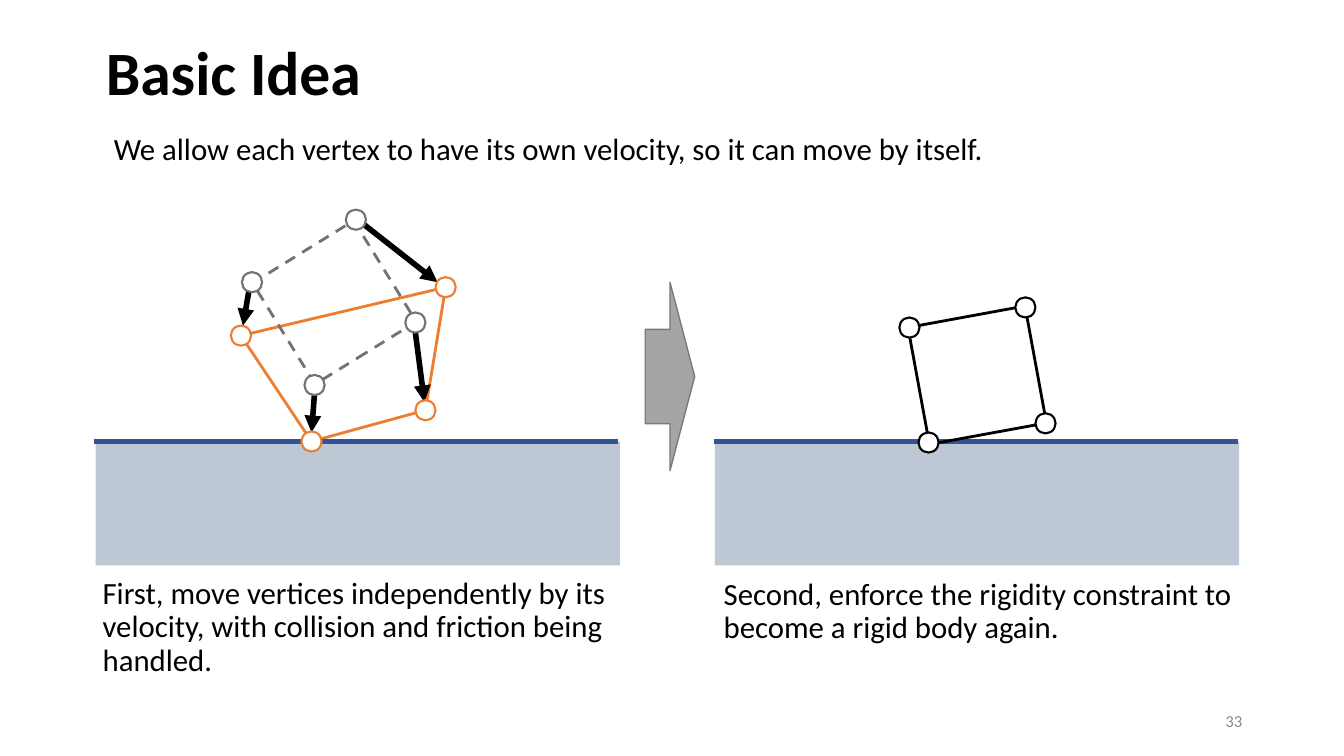
from pptx import Presentation
from pptx.dml.color import RGBColor
from pptx.enum.dml import MSO_LINE
from pptx.enum.shapes import MSO_CONNECTOR, MSO_SHAPE
from pptx.enum.text import MSO_ANCHOR, MSO_AUTO_SIZE, PP_ALIGN
from pptx.oxml.ns import qn
from pptx.util import Inches, Pt
from lxml.etree import SubElement

BLACK, WHITE, ORANGE, GREY = "000000", "FFFFFF", "ED7D31", "767171"
SOIL, EDGE = "8497B0", "2F5597"

TITLE = ("Basic Idea", (0.95, 0.02, 11.5, 1.45))
NOTES = [
    ("We allow each vertex to have its own velocity, so it can move by itself.",
     (1.03, 1.08, 10.22, 0.83)),
    ("First, move vertices independently by its velocity, "
     "with collision and friction being handled.", (0.92, 5.43, 5.53, 1.6)),
    ("Second, enforce the rigidity constraint to become a rigid body again.",
     (7.08, 5.66, 5.53, 0.83)),
]
NUMBER = ("33", (9.42, 6.95, 3, 0.4))

# Vertex centres, in order around each body
START = [(2.5, 2.8), (3.53, 2.18), (4.12, 3.2), (3.12, 3.82)]
MOVED = [(2.39, 3.33), (4.42, 2.85), (4.22, 4.07), (3.09, 4.38)]
RIGID = [(9.02, 3.25), (10.17, 3.05), (10.37, 4.2), (9.21, 4.39)]
STEPS = [((2.5, 2.7), (2.41, 3.23)), ((3.46, 2.11), (4.34, 2.8)),
         ((4.12, 3.3), (4.21, 3.99)), ((3.12, 3.9), (3.09, 4.29))]

SIDE, DOT = 1.18, 0.2
GROUND_TOP, GROUND_W, GROUND_H = 4.38, 5.2, 1.23
GROUNDS = [(0.95, 0.93), (7.09, 7.08)]  # left of soil, left of surface line

prs = Presentation()
prs.slide_width, prs.slide_height = Inches(13.33), Inches(7.5)
slide = prs.slides.add_slide(prs.slide_layouts[5])
shapes = slide.shapes


def rgb(code):
    return RGBColor.from_string(code)


def style(shape, fill=None, line=None, width=1.5, dash=None):
    shape.shadow.inherit = False
    if fill:
        shape.fill.solid()
        shape.fill.fore_color.rgb = rgb(fill)
    else:
        shape.fill.background()
    if line:
        shape.line.color.rgb = rgb(line)
        shape.line.width = Pt(width)
        shape.line.dash_style = dash
    else:
        shape.line.fill.background()
    return shape


def draw(kind, box, turn=0, **look):
    shape = shapes.add_shape(kind, *map(Inches, box))
    shape.rotation = turn
    return style(shape, **look)


def link(tail, tip, color, arrow=False):
    line = shapes.add_connector(MSO_CONNECTOR.STRAIGHT, *map(Inches, tail + tip))
    line.line.color.rgb = rgb(color)
    line.line.width = Pt(4)
    if arrow:
        SubElement(line.line._get_or_add_ln(), qn("a:tailEnd"), type="triangle")
    SubElement(line._element.spPr, qn("a:effectLst"))


def write(shape, text, color=BLACK, align=PP_ALIGN.LEFT, space=0.9, **font):
    frame = shape.text_frame
    frame.text = text
    frame.word_wrap = True
    frame.auto_size = MSO_AUTO_SIZE.NONE
    frame.vertical_anchor = MSO_ANCHOR.MIDDLE
    para = frame.paragraphs[0]
    para.alignment, para.line_spacing = align, space
    for key, value in {"name": "Calibri", **font}.items():
        setattr(para.font, key, value)
    para.font.color.rgb = rgb(color)


def label(text, box, **look):
    write(shapes.add_textbox(*map(Inches, box)), text, **look)


def outline(ring, **look):
    first, *rest = [(Inches(x), Inches(y)) for x, y in ring]
    pen = shapes.build_freeform(*first)
    pen.add_line_segments(rest, close=True)
    style(pen.convert_to_shape(), **look)


def square(ring, turn, **look):
    """Draw a turned square centred on the mean of its vertices."""
    x, y = (sum(axis) / len(ring) for axis in zip(*ring))
    draw(MSO_SHAPE.RECTANGLE, (x - SIDE / 2, y - SIDE / 2, SIDE, SIDE),
         turn, width=2, **look)


def dots(ring, color):
    for x, y in ring:
        draw(MSO_SHAPE.OVAL, (x - DOT / 2, y - DOT / 2, DOT, DOT),
             fill=WHITE, line=color)


def main():
    head = shapes.title
    head.left, head.top, head.width, head.height = map(Inches, TITLE[1])
    write(head, TITLE[0], size=Pt(44), bold=True)

    outline(MOVED, line=ORANGE, width=2)

    for left, edge in GROUNDS:
        soil = draw(MSO_SHAPE.RECTANGLE,
                    (left, GROUND_TOP, GROUND_W, GROUND_H), fill=SOIL)
        tint = soil._element.spPr.find(qn("a:solidFill"))[0]
        SubElement(tint, qn("a:alpha"), val="52000")
        link((edge, GROUND_TOP), (edge + GROUND_W, GROUND_TOP), EDGE)

    square(START, 328.3, line=GREY, dash=MSO_LINE.DASH)
    square(RIGID, 349.6, line=BLACK)
    for tail, tip in STEPS:
        link(tail, tip, BLACK, arrow=True)
    for ring, color in ((START, GREY), (MOVED, ORANGE), (RIGID, BLACK)):
        dots(ring, color)

    draw(MSO_SHAPE.DOWN_ARROW, (5.71, 3.49, 1.87, 0.49), 270,
         fill="A5A5A5", line="7A7A7A", width=1)

    for text, box in NOTES:
        label(text, box, size=Pt(22))
    label(*NUMBER, color="8C8C8C", align=PP_ALIGN.RIGHT, space=1, size=Pt(12))
    prs.save("out.pptx")


if __name__ == "__main__":
    main()
